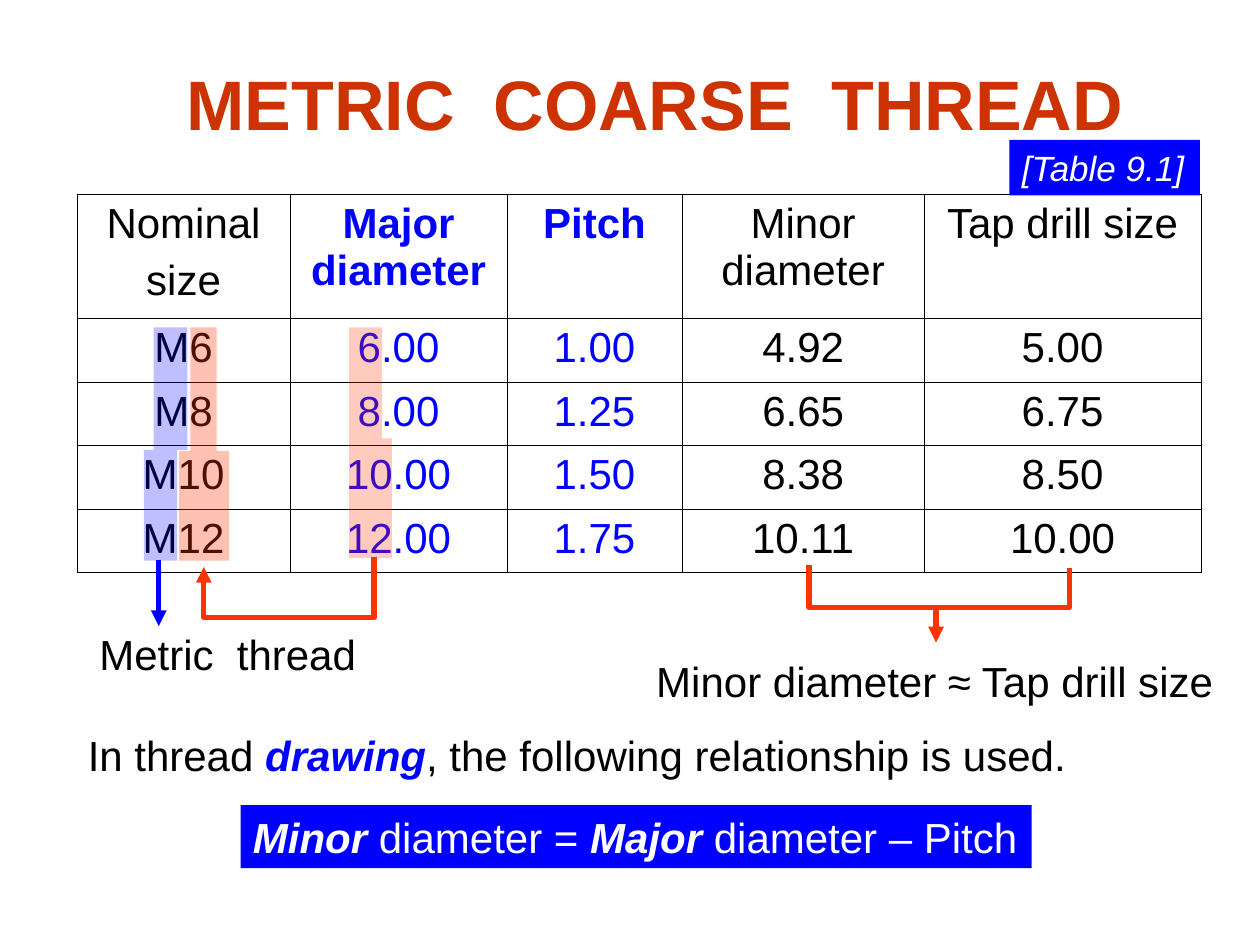
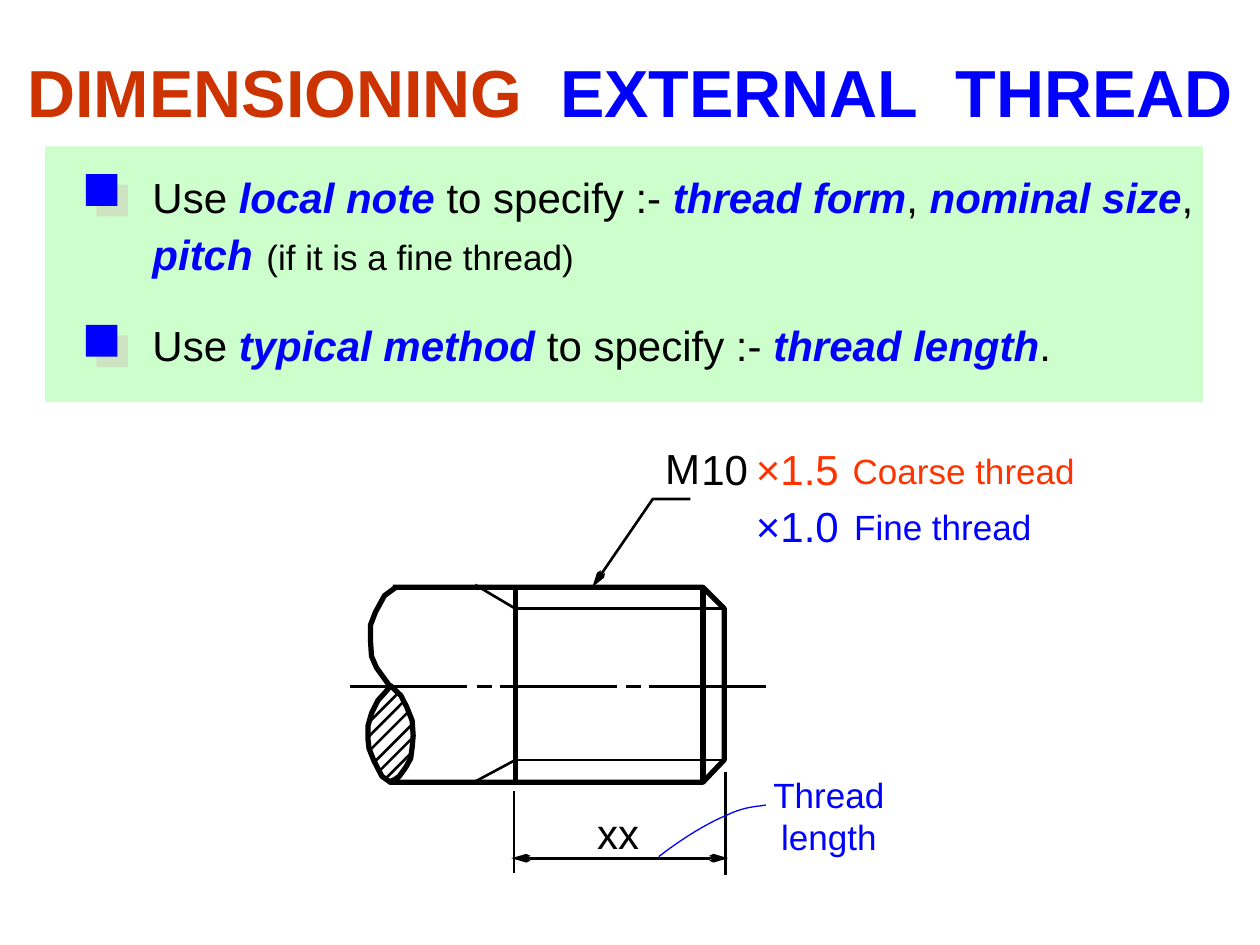
from dataclasses import dataclass
from typing import NamedTuple, Optional

from lxml import etree
from pptx import Presentation
from pptx.dml.color import RGBColor
from pptx.enum.shapes import MSO_CONNECTOR, MSO_SHAPE
from pptx.enum.text import MSO_ANCHOR, MSO_AUTO_SIZE, PP_ALIGN
from pptx.oxml.ns import qn
from pptx.util import Cm, Pt

LINE, RECT = MSO_CONNECTOR.STRAIGHT, MSO_SHAPE.RECTANGLE
TOP = MSO_ANCHOR.TOP
FIXED, GROW = MSO_AUTO_SIZE.NONE, MSO_AUTO_SIZE.SHAPE_TO_FIT_TEXT
LEFT, MID = PP_ALIGN.LEFT, PP_ALIGN.CENTER


@dataclass(frozen=True)
class Theme:
    font: str = "Arial"
    ink: str = "000000"
    paper: str = "FFFFFF"
    blue: str = "0000FF"
    red: str = "FF3300"
    rust: str = "CC3300"
    mint: str = "CCFFCC"
    shade: str = "CEC8BA"
    head: int = 40
    tight: int = 38
    large: int = 28
    body: int = 24
    small: int = 20
    hair: float = 0.45
    fine: float = 0.75
    thin: float = 1.5
    bold: float = 3


T = Theme()


class Run(NamedTuple):
    text: str
    hue: Optional[str] = None
    strong: bool = False
    size: Optional[int] = None
    gap: float = 0


class Area(NamedTuple):
    left: float
    top: float
    width: float
    height: float


class Pen(NamedTuple):
    hue: str = T.ink
    width: float = T.thin
    head: str = ""
    tail: str = ""


@dataclass(frozen=True)
class Note:
    area: Area
    paras: tuple
    hue: str = T.ink
    size: int = T.body
    align: int = LEFT
    fill: str = ""
    ital: bool = False
    wrap: bool = False


@dataclass(frozen=True)
class Mask:
    """Stepped band: a narrow part above a part with other sides."""
    upper: tuple
    lower: tuple
    top: float
    step: float
    base: float
    hue: str
    alpha: int


def rgb(hue: str) -> RGBColor:
    return RGBColor.from_string(hue)


def hot(text: str) -> Run:
    return Run(text, T.blue, True)


def wide(text: str, size: int, hue: Optional[str] = None) -> list:
    """Split words and double the space between them."""
    runs = []
    for word in text.split():
        runs += [Run(word, hue), Run(" ", hue, gap=0.278 * size)]
    return runs[:-1]


def set_font(font, hue: str, size: int, bold=False, ital=False) -> None:
    font.name, font.size = T.font, Pt(size)
    font.bold, font.italic = bold, ital
    font.color.rgb = rgb(hue)


def add_runs(para, runs) -> None:
    for part in runs:
        run = para.add_run()
        run.text = part.text
        if part.hue:
            run.font.color.rgb = rgb(part.hue)
        if part.strong:
            run.font.bold = run.font.italic = True
        if part.size:
            run.font.size = Pt(part.size)
        if part.gap:
            run.font._element.set("spc", str(round(part.gap * 100)))


def place(shape, area: Area) -> None:
    shape.left, shape.top, shape.width, shape.height = map(Cm, area)


def add_title(slide, area: Area, runs: list, size: int) -> None:
    title = slide.shapes.title
    place(title, area)
    frame = title.text_frame
    frame.word_wrap, frame.auto_size = False, FIXED
    frame.vertical_anchor = TOP
    para = frame.paragraphs[0]
    para.alignment = LEFT
    set_font(para.font, T.rust, size, bold=True)
    add_runs(para, runs)


def add_note(slide, note: Note) -> None:
    box = slide.shapes.add_textbox(*map(Cm, note.area))
    if note.fill:
        box.fill.solid()
        box.fill.fore_color.rgb = rgb(note.fill)
    frame = box.text_frame
    frame.word_wrap, frame.auto_size = note.wrap, GROW
    for i, runs in enumerate(note.paras):
        para = frame.add_paragraph() if i else frame.paragraphs[0]
        para.alignment = note.align
        set_font(para.font, note.hue, note.size, ital=note.ital)
        add_runs(para, runs)


def label(text: str, area: Area, hue=T.ink, size=T.body) -> Note:
    return Note(area, ([Run(text)],), hue, size)


def style(line, pen: Pen) -> None:
    line.color.rgb, line.width = rgb(pen.hue), Pt(pen.width)
    ln = line._get_or_add_ln()
    for tag, kind in (("a:headEnd", pen.head), ("a:tailEnd", pen.tail)):
        if kind:
            end = etree.SubElement(ln, qn(tag), type=kind)
            if kind == "arrow":
                end.set("w", "sm")
                end.set("len", "lg")


def add_line(slide, start: tuple, end: tuple, pen: Pen = Pen()) -> None:
    line = slide.shapes.add_connector(LINE, *map(Cm, start + end))
    etree.SubElement(line._element.spPr, qn("a:effectLst"))
    style(line.line, pen)


def outline(slide, points: list, close: bool):
    spots = [(Cm(x), Cm(y)) for x, y in points]
    build = slide.shapes.build_freeform(*spots[0])
    build.add_line_segments(spots[1:], close=close)
    shape = build.convert_to_shape()
    shape.shadow.inherit = False
    return shape


def add_trace(slide, points: list, pen: Pen) -> None:
    shape = outline(slide, points, False)
    shape.fill.background()
    style(shape.line, pen)


def add_mask(slide, mask: Mask) -> None:
    (a, b), (c, d) = mask.upper, mask.lower
    shape = outline(slide, [
        (a, mask.top), (b, mask.top), (b, mask.step), (d, mask.step),
        (d, mask.base), (c, mask.base), (c, mask.step), (a, mask.step)], True)
    shape.line.fill.background()
    shape.fill.solid()
    shape.fill.fore_color.rgb = rgb(mask.hue)
    tint = shape._element.spPr.find(qn("a:solidFill"))[0]
    etree.SubElement(tint, qn("a:alpha")).set("val", str(mask.alpha * 1000))


def add_block(slide, area: Area, hue: str):
    block = slide.shapes.add_shape(RECT, *map(Cm, area))
    block.shadow.inherit = False
    block.fill.solid()
    block.fill.fore_color.rgb = rgb(hue)
    block.line.fill.background()
    return block


def add_bullet(slide, top: float) -> None:
    block = add_block(slide, Area(1.73, top, 0.64, 0.64), T.blue)
    effects = block._element.spPr.find(qn("a:effectLst"))
    cast = etree.SubElement(effects, qn("a:outerShdw"), blurRad="0",
                            dist=str(Pt(8.5)), dir="2700000", algn="ctr",
                            rotWithShape="0")
    tint = etree.SubElement(cast, qn("a:srgbClr"), val=T.shade)
    etree.SubElement(tint, qn("a:alpha"), val="50000")


def curve(a: tuple, b: tuple, c: tuple, d: tuple, steps: int = 10) -> list:
    """Points on a cubic curve, without its start."""
    spots = []
    for i in range(1, steps + 1):
        t = i / steps
        u = 1 - t
        spots.append(tuple(
            u**3 * p + 3 * u * u * t * q + 3 * u * t * t * r + t**3 * s
            for p, q, r, s in zip(a, b, c, d)))
    return spots


def frame_cell(cell) -> None:
    props = cell._tc.get_or_add_tcPr()
    for side in ("a:lnL", "a:lnR", "a:lnT", "a:lnB"):
        edge = etree.SubElement(props, qn(side), w=str(Pt(T.hair)))
        fill = etree.SubElement(edge, qn("a:solidFill"))
        etree.SubElement(fill, qn("a:srgbClr"), val=T.ink)
    cell.fill.background()


SIZES = (
    ("Nominal\nsize", "Major diameter", "Pitch", "Minor diameter",
     "Tap drill size"),
    ("M6", "6.00", "1.00", "4.92", "5.00"),
    ("M8", "8.00", "1.25", "6.65", "6.75"),
    ("M10", "10.00", "1.50", "8.38", "8.50"),
    ("M12", "12.00", "1.75", "10.11", "10.00"),
)
COLS = (4.3, 4.37, 3.53, 4.88, 5.58)
ROWS = (2.51,) + (1.28,) * 4
KEYS = (1, 2)


def add_sizes(slide) -> None:
    area = Area(1.55, 3.91, sum(COLS), sum(ROWS))
    table = slide.shapes.add_table(len(ROWS), len(COLS),
                                   *map(Cm, area)).table
    for col, width in zip(table.columns, COLS):
        col.width = Cm(width)
    for r, (height, texts) in enumerate(zip(ROWS, SIZES)):
        table.rows[r].height = Cm(height)
        for c, text in enumerate(texts):
            cell = table.cell(r, c)
            frame_cell(cell)
            cell.text = text
            for i, para in enumerate(cell.text_frame.paragraphs):
                para.alignment, para.space_before = MID, Pt(6 * (i > 0))
                set_font(para.font, T.blue if c in KEYS else T.ink, T.body,
                         bold=r == 0 and c in KEYS)


def draw_coarse(slide) -> None:
    add_sizes(slide)
    add_title(slide, Area(3.51, 1.09, 20.4, 1.96),
              wide("METRIC COARSE THREAD", T.head), T.head)
    notes = (
        Note(Area(4.85, 16.23, 15.95, 1.27), ([
            Run("Minor", strong=True), Run(" diameter = "),
            Run("Major", strong=True), Run(" diameter – Pitch")],),
            T.paper, fill=T.blue),
        label("Minor diameter ≈ Tap drill size",
              Area(12.98, 13.08, 11.84, 1.27)),
        Note(Area(20.35, 2.82, 3.84, 1.12), ([Run("[Table 9.1]")],),
             T.paper, T.small, fill=T.blue, ital=True),
        Note(Area(1.02, 12.55, 7.14, 1.27),
             (wide("Metric thread", T.body),), align=MID, wrap=True),
        Note(Area(1.52, 14.58, 20.22, 1.27), ([
            Run("In thread "), hot("drawing"),
            Run(", the following relationship is used.")],)),
    )
    for note in notes:
        add_note(slide, note)
    red = Pen(T.red, T.bold)
    arrow = red._replace(tail="triangle")
    add_trace(slide, [(16.31, 11.4), (16.31, 12.24), (21.56, 12.24),
                      (21.56, 11.46)], red)
    add_line(slide, (18.87, 12.22), (18.87, 12.95), arrow)
    masks = (
        Mask((3.84, 4.37), (3.61, 4.62), 6.6, 9.09, 11.3, T.red, 30),
        Mask((3.1, 3.78), (2.9, 3.57), 6.6, 9.07, 11.3, T.blue, 25),
        Mask((7.04, 7.7), (7.04, 7.9), 6.6, 8.84, 11.25, T.red, 25),
    )
    for mask in masks:
        add_mask(slide, mask)
    add_line(slide, (3.2, 11.28), (3.2, 12.62), arrow._replace(hue=T.blue))
    add_trace(slide, [(7.54, 11.23), (7.54, 12.45), (4.11, 12.45),
                      (4.11, 11.43)], arrow)


SHAFT = [
    (7.92, 11.84), (14.17, 11.84), (14.6, 12.27), (14.6, 15.32),
    (14.17, 15.77), (7.87, 15.77), (7.7, 15.65), (7.54, 15.34),
    (7.44, 15.09), (7.42, 14.91), (7.42, 14.63), (7.49, 14.38),
    (7.62, 14.12), (7.8, 13.92), (7.87, 13.82), (8.08, 14.02),
    (8.2, 14.25), (8.31, 14.53), (8.33, 14.83), (8.31, 15.06),
    (8.28, 15.29), (8.18, 15.47), (8.05, 15.65), (7.95, 15.72),
    (7.82, 15.77)]
BREAK = [
    (7.9, 13.89), (7.72, 13.64), (7.59, 13.46), (7.49, 13.23),
    (7.47, 12.93), (7.47, 12.6), (7.57, 12.34), (7.75, 12.01),
    (7.98, 11.84)]
HATCH = ((7.47, 14.53, 0.56), (7.42, 14.86, 0.71), (7.47, 15.11, 0.79),
         (7.54, 15.37, 0.79), (7.65, 15.54, 0.69), (7.77, 15.7, 0.51))


def draw_bolt(slide) -> None:
    thick = Pen(width=T.bold)
    for points in (SHAFT, BREAK):
        add_trace(slide, points, thick)
    for x in (14.17, 10.39):
        add_line(slide, (x, 11.84), (x, 15.77), thick)
    for y, run, end in ((12.27, 9.58, 11.79), (15.32, 9.55, 15.77)):
        add_line(slide, (14.6, y), (10.39, y))
        add_line(slide, (10.39, y), (run, end))
    for x, y, run in HATCH:
        add_line(slide, (x, y), (x + run, y - run))
    for i in range(5):
        x = 7.06 + 3.01 * (i // 2) + 2.55 * (i % 2)
        add_line(slide, (x, 13.84), (x + (0.3 if i % 2 else 2.36), 13.84))


def draw_sizing(slide) -> None:
    add_trace(slide, [(11.94, 11.84), (13.16, 10.06), (13.92, 10.06)],
              Pen(head="arrow"))
    add_line(slide, (10.36, 15.95), (10.36, 17.6))
    add_line(slide, (14.63, 15.57), (14.63, 17.63))
    add_line(slide, (10.31, 17.3), (14.68, 17.3),
             Pen(head="arrow", tail="arrow"))
    notes = (
        label("M", Area(13.16, 8.79, 1.22, 1.27)),
        label("10", Area(13.89, 8.81, 1.45, 1.27)),
        label("×1.5", Area(14.99, 8.81, 2.41, 1.27), T.red),
        label("×1.0", Area(14.99, 9.96, 2.41, 1.27), T.blue),
        label("Fine thread", Area(16.97, 10.06, 4.09, 1.12), T.blue, T.small),
        label("Coarse thread", Area(16.94, 8.94, 4.98, 1.12), T.red, T.small),
        label("xx", Area(11.79, 16.15, 1.35, 1.27)),
        Note(Area(15.34, 15.47, 2.74, 1.96),
             ([Run("Thread")], [Run("length")]), T.blue, T.small, MID),
    )
    for note in notes:
        add_note(slide, note)
    start, bend, end = (13.28, 17.27), (14.66, 16.43), (15.44, 16.23)
    add_trace(slide, [start]
              + curve(start, (13.77, 16.89), (14.27, 16.59), bend)
              + curve(bend, (15.01, 16.26), (15.27, 16.26), end),
              Pen(T.blue, T.fine))


def fill_rules(slide) -> None:
    body = slide.placeholders[1]
    place(body, Area(2.82, 3.33, 21.62, 4.3))
    frame = body.text_frame
    frame.word_wrap, frame.auto_size, frame.vertical_anchor = True, FIXED, TOP
    rules = (
        [Run("Use "), hot("local note "), Run("to specify :- "),
         hot("thread form"), Run(", "), hot("nominal size"), Run(", "),
         hot("pitch"), Run(" ", size=T.large),
         Run("(if it is a fine thread)", size=T.small)],
        [Run("Use "), hot("typical method "), Run("to specify :- "),
         hot("thread length"), Run(".")],
    )
    for i, runs in enumerate(rules):
        para = frame.add_paragraph() if i else frame.paragraphs[0]
        para.alignment, para.line_spacing = LEFT, 1.0
        para.space_before = Pt(22 * i)
        props = para._p.get_or_add_pPr()
        props.set("marL", "0")
        props.set("indent", "0")
        etree.SubElement(props, qn("a:buNone"))
        set_font(para.font, T.ink, T.body)
        add_runs(para, runs)


def draw_external(slide) -> None:
    panel = add_block(slide, Area(0.91, 2.95, 23.34, 5.16), T.mint)
    slide.shapes._spTree.insert(2, panel._element)
    add_title(slide, Area(0.3, 0.91, 25, 1.88),
              wide("DIMENSIONING", T.tight)
              + [Run(" ", gap=0.278 * T.tight)]
              + wide("EXTERNAL THREAD", T.tight, T.blue), T.tight)
    fill_rules(slide)
    for top in (3.51, 6.55):
        add_bullet(slide, top)
    draw_bolt(slide)
    draw_sizing(slide)


def main() -> None:
    deck = Presentation()
    deck.slide_width, deck.slide_height = Cm(25.4), Cm(19.05)
    for layout, draw in ((5, draw_coarse), (1, draw_external)):
        draw(deck.slides.add_slide(deck.slide_layouts[layout]))
    deck.save("out.pptx")


if __name__ == "__main__":
    main()
